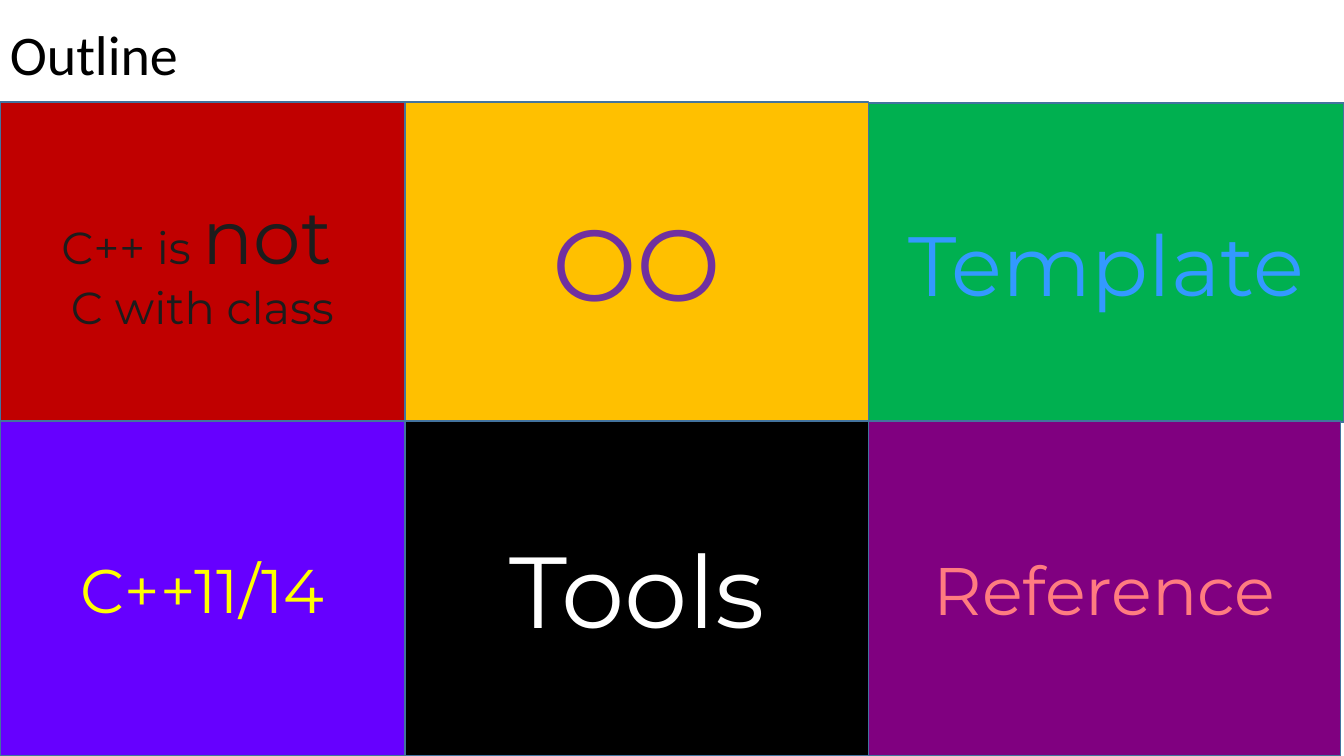
from pptx import Presentation
from pptx import util as u
from pptx.dml.color import RGBColor
from pptx.enum import shapes, text

THEME = {
    "head": {"name": "Calibri", "size": 40, "color": "000000"},
    "face": "Montserrat",
    "edge": "43739E",
    "class": {"fill": "C00000", "ink": "1C1C1C", "size": 32, "big": 54},
    "object": {"fill": "FFC000", "ink": "7030A0", "size": 72},
    "template": {"fill": "00B050", "ink": "3399FF", "size": 60},
    "modern": {"fill": "6600FF", "ink": "FFFF00", "size": 44},
    "tools": {"fill": "000000", "ink": "FFFFFF", "size": 72},
    "refer": {"fill": "800080", "ink": "FF7C80", "size": 48},
}

# Column and row edges of the grid, in centimetres
COLS = [0, 10.21, 21.89, 33.87]
ROWS = [2.57, 10.61, 19.05]

# Each tile: look, lines of (words, size key), drop from the row top, trim of the width
GRID = [
    [("class", [[("C++ is ", "size"), ("not", "big"), (" ", "size")],
                [("C with class", "size")]], 0, 0),
     ("object", [[("OO", "size")]], 0, 0),
     ("template", [[("Template", "size")]], 0.03, 0)],
    [("modern", [[("C++11/14", "size")]], 0, 0),
     ("tools", [[("Tools", "size")]], 0, 0),
     ("refer", [[("Reference", "size")]], 0, 0.08)],
]


def add_run(para, words, name, size, color):
    run = para.add_run()
    run.text = words
    for key, value in {"name": name, "size": u.Pt(size)}.items():
        setattr(run.font, key, value)
    run.font.color.rgb = RGBColor.from_string(color)


deck = Presentation()
deck.slide_width, deck.slide_height = u.Cm(COLS[-1]), u.Cm(ROWS[-1])
slide = deck.slides.add_slide(deck.slide_layouts[6])

for row, tiles in enumerate(GRID):
    for col, (look, lines, drop, trim) in enumerate(tiles):
        style = THEME[look]
        tile = slide.shapes.add_shape(
            shapes.MSO_SHAPE.RECTANGLE,
            u.Cm(COLS[col]), u.Cm(ROWS[row] + drop),
            u.Cm(COLS[col + 1] - COLS[col] - trim),
            u.Cm(ROWS[row + 1] - ROWS[row]))
        tile.shadow.inherit = False
        tile.fill.solid()
        tile.fill.fore_color.rgb = RGBColor.from_string(style["fill"])
        tile.line.color.rgb = RGBColor.from_string(THEME["edge"])
        tile.line.width = u.Pt(1)
        frame = tile.text_frame
        layout = {"word_wrap": True, "vertical_anchor": text.MSO_ANCHOR.MIDDLE}
        for key, value in layout.items():
            setattr(frame, key, value)
        for index, line in enumerate(lines):
            para = frame.add_paragraph() if index else frame.paragraphs[0]
            para.alignment = text.PP_ALIGN.CENTER
            for words, size in line:
                add_run(para, words, THEME["face"], style[size], style["ink"])

title = slide.shapes.add_textbox(u.Cm(0), u.Cm(0.36), u.Cm(9.96), u.Cm(1.96))
title.text_frame.word_wrap = True
add_run(title.text_frame.paragraphs[0], "Outline", **THEME["head"])

deck.save("out.pptx")
